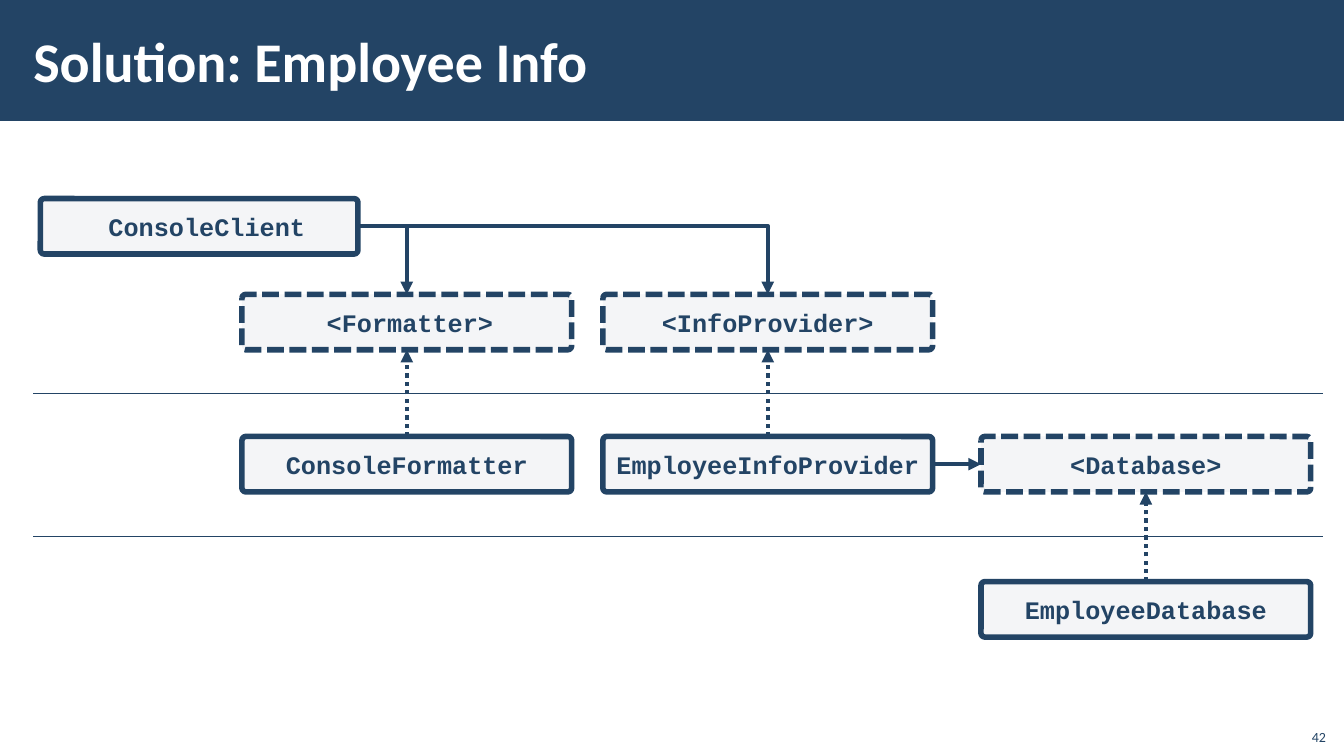
import pptx
import pptx.util
import pptx.dml.color
import pptx.enum.dml
import pptx.enum.shapes
import pptx.enum.text
import pptx.oxml.xmlchemy
from pptx.oxml.ns import qn

Inches, Pt = pptx.util.Inches, pptx.util.Pt
Color = pptx.dml.color.RGBColor.from_string
Dash = pptx.enum.dml.MSO_LINE
Shape = pptx.enum.shapes.MSO_SHAPE
Link = pptx.enum.shapes.MSO_CONNECTOR
Align = pptx.enum.text.PP_ALIGN
Anchor = pptx.enum.text.MSO_ANCHOR

# Content
TITLE = "Solution: Employee Info"
PAGE_NUMBER = "42"
# label: (column, row, is an interface, extra left inset)
BOXES = {
    "ConsoleClient": (0, 0, False, 0.15),
    "<Formatter>": (1, 1, True, 0.06),
    "<InfoProvider>": (2, 1, True, 0),
    "ConsoleFormatter": (1, 2, False, 0),
    "EmployeeInfoProvider": (2, 2, False, 0),
    "<Database>": (3, 2, True, 0),
    "EmployeeDatabase": (3, 3, False, 0),
}
USES = [
    ("ConsoleClient", "<InfoProvider>"),
    ("ConsoleClient", "<Formatter>"),
    ("EmployeeInfoProvider", "<Database>"),
]
IMPLEMENTS = [
    ("ConsoleFormatter", "<Formatter>"),
    ("EmployeeInfoProvider", "<InfoProvider>"),
    ("EmployeeDatabase", "<Database>"),
]

# Theme and grid
THEME = {
    "main": Color("234465"), "panel": Color("F4F5F7"), "light": Color("FFFFFF"),
    "title": Pt(40), "label": Pt(18), "number": Pt(10),
    "border": Pt(4), "arrow": Pt(3), "rule": Pt(0.5),
    "text font": "Calibri", "code font": "Courier New",
}
WIDTH, HEIGHT = 13.33, 7.5
COLUMNS = [(0.4, 3.15), (2.4, 3.27), (5.98, 3.27), (9.73, 3.27)]
ROWS = [1.97, 2.92, 4.33, 5.77]
BOX_HEIGHT = 0.55
RULE_SPAN = (0.33, 13.12)
TOP, LEFT, BOTTOM, RIGHT = range(4)

deck = pptx.Presentation()
deck.slide_width, deck.slide_height = Inches(WIDTH), Inches(HEIGHT)
page = deck.slides.add_slide(deck.slide_layouts[5])
tree = page.shapes._spTree


def send_back(item):
    tree.insert(2, item._element)


def write(box, text, size, color, font, align, anchor, bold=True):
    frame = box.text_frame
    frame.text = text
    frame.vertical_anchor = anchor
    para = frame.paragraphs[0]
    para.alignment = align
    para.font.size, para.font.bold = THEME[size], bold
    para.font.name, para.font.color.rgb = THEME[font], THEME[color]
    return frame


def add_panel(kind, left, top, width, height, fill):
    panel = page.shapes.add_shape(kind, *map(Inches, (left, top, width, height)))
    panel.shadow.inherit = False
    panel.fill.solid()
    panel.fill.fore_color.rgb = THEME[fill]
    return panel


def add_line(width, kind=Link.STRAIGHT, ends=(0, 0, 0, 0)):
    line = page.shapes.add_connector(kind, *map(Inches, ends))
    line.line.color.rgb, line.line.width = THEME["main"], THEME[width]
    line._element.spPr.append(pptx.oxml.xmlchemy.OxmlElement("a:effectLst"))
    return line


def add_arrow(start, start_side, end, end_side):
    bent = start_side == RIGHT and end_side == TOP
    arrow = add_line("arrow", Link.ELBOW if bent else Link.STRAIGHT)
    arrow.begin_connect(start, start_side)
    arrow.end_connect(end, end_side)
    if bent:
        arrow._element.spPr.find(qn("a:prstGeom")).set("prst", "bentConnector2")
    head = pptx.oxml.xmlchemy.OxmlElement("a:tailEnd")
    head.set("type", "triangle")
    arrow.line._get_or_add_ln().append(head)
    return arrow


# Title band and title
title = page.shapes.title
title.left, title.top, title.width, title.height = map(Inches, (0.21, 0.11, 10.63, 0.97))
frame = write(title, TITLE, "title", "light", "text font", Align.LEFT, Anchor.MIDDLE)
frame.margin_left = frame.margin_right = Inches(0.12)
band = add_panel(Shape.RECTANGLE, 0, 0, WIDTH, 1.2, "main")
band.line.fill.background()
send_back(band)

# Class and interface boxes
boxes = {}
for label, (column, row, interface, inset) in BOXES.items():
    left, width = COLUMNS[column]
    box = add_panel(Shape.ROUNDED_RECTANGLE, left, ROWS[row], width, BOX_HEIGHT, "panel")
    box.adjustments[0] = 0.07
    box.line.color.rgb, box.line.width = THEME["main"], THEME["border"]
    if interface:
        box.line.dash_style = Dash.SQUARE_DOT
        box.line._get_or_add_ln().find(qn("a:prstDash")).set("val", "sysDash")
    frame = write(box, label, "label", "main", "code font", Align.CENTER, Anchor.MIDDLE)
    frame.margin_left = Inches(0.1 + inset)
    frame.word_wrap = False
    boxes[label] = box

# Arrows: solid for use, dotted for implementation
for user, used in USES:
    same_row = BOXES[user][1] == BOXES[used][1]
    add_arrow(boxes[user], RIGHT, boxes[used], LEFT if same_row else TOP)
for concrete, interface in IMPLEMENTS:
    arrow = add_arrow(boxes[concrete], TOP, boxes[interface], BOTTOM)
    arrow.line.dash_style = Dash.ROUND_DOT
    arrow.line._get_or_add_ln().find(qn("a:prstDash")).set("val", "sysDot")
    send_back(arrow)

# Layer rules, halfway between neighbouring rows
for upper, lower in zip(ROWS[1:], ROWS[2:]):
    middle = (upper + BOX_HEIGHT + lower) / 2
    add_line("rule", ends=(RULE_SPAN[0], middle, RULE_SPAN[1], middle))

# Page number
number = page.shapes.add_textbox(*map(Inches, (12.85, 7.12, 0.4, 0.32)))
write(number, PAGE_NUMBER, "number", "main", "text font", Align.RIGHT, Anchor.BOTTOM, bold=False)
number.text_frame.word_wrap = True

deck.save("out.pptx")
